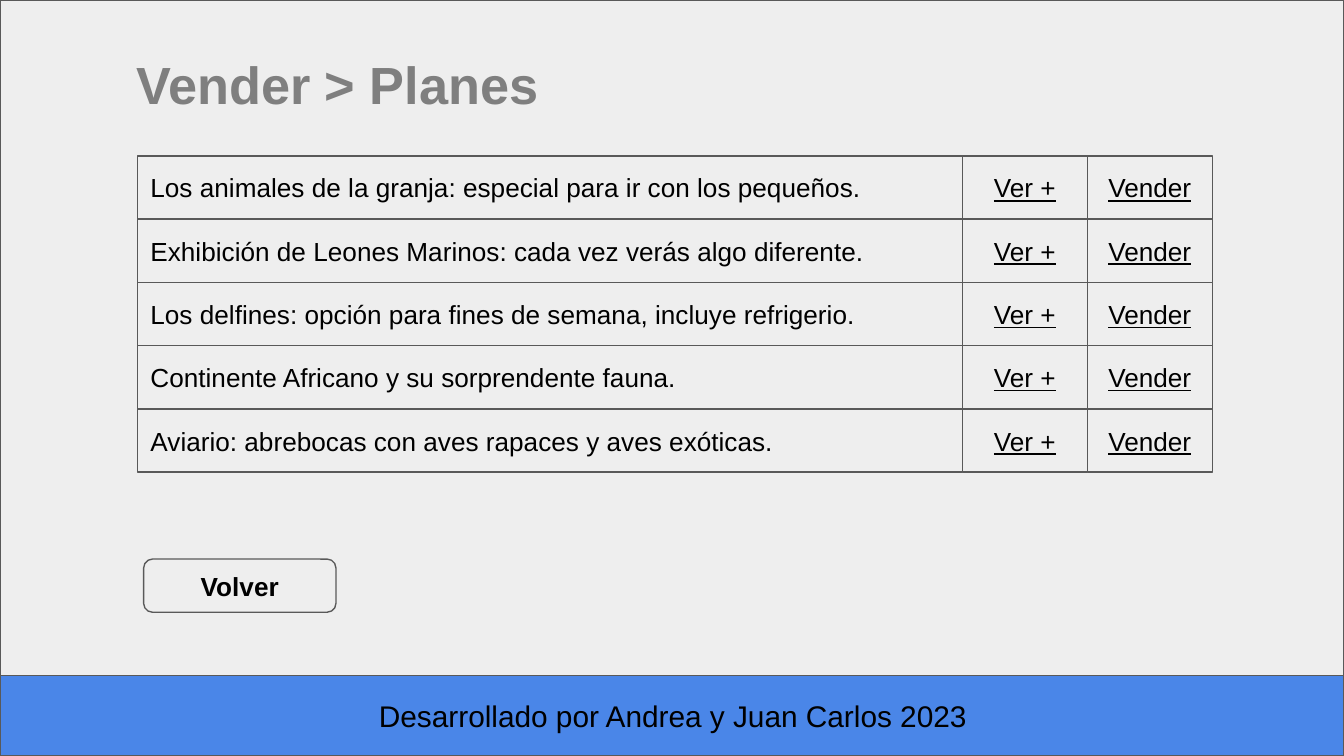
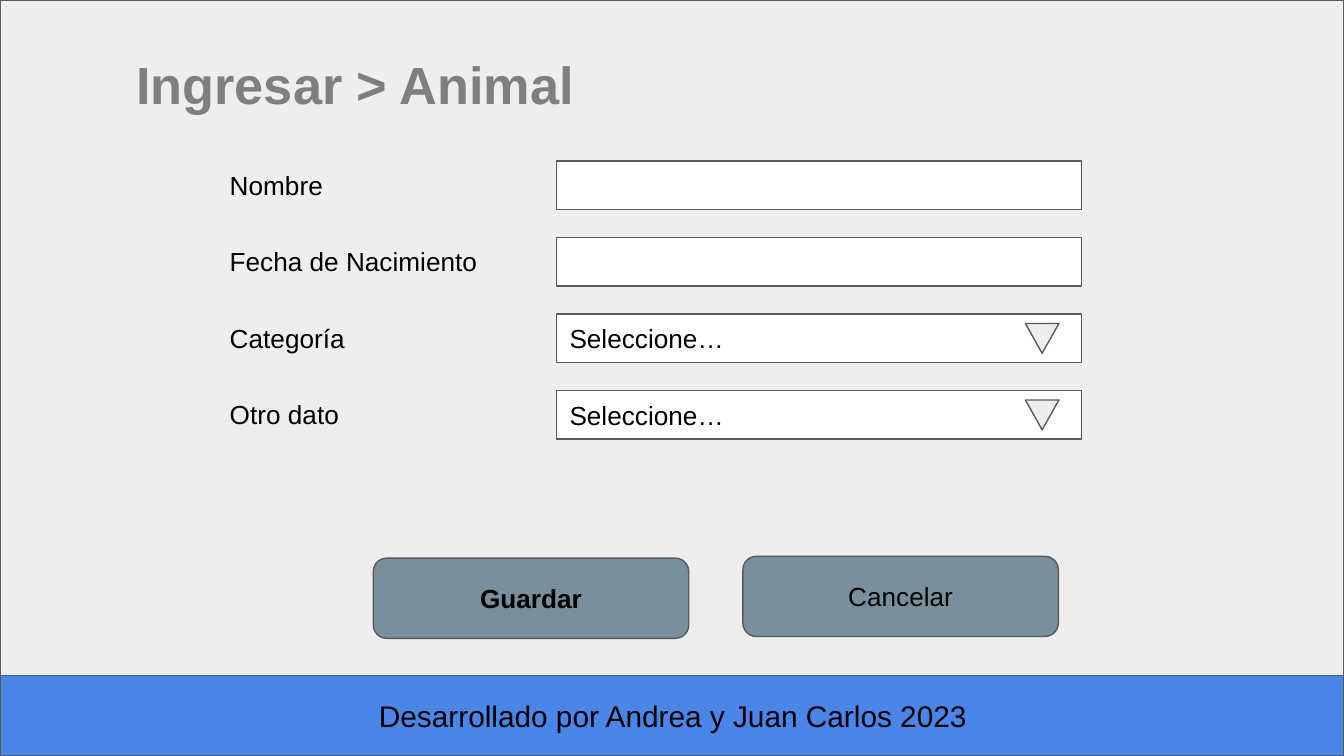
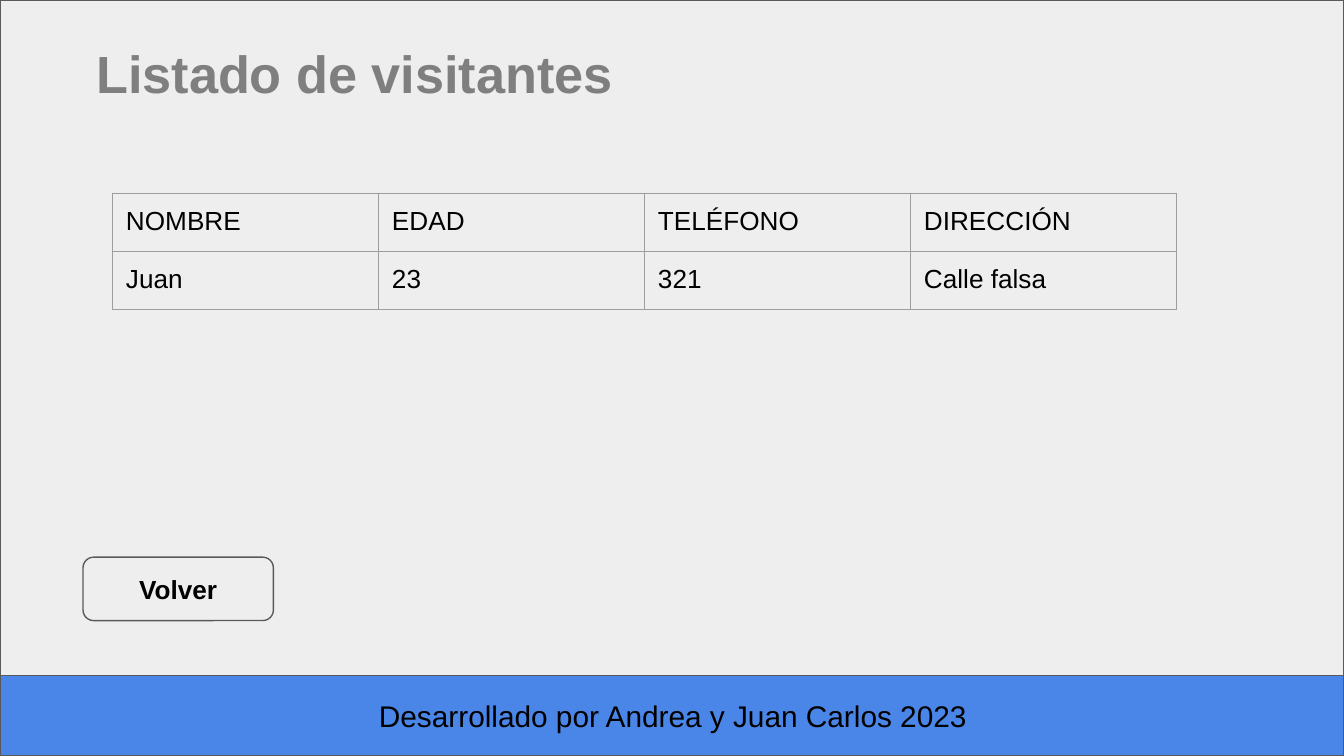
from dataclasses import dataclass
from itertools import accumulate

from lxml.etree import SubElement
from pptx import Presentation
from pptx.dml.color import RGBColor
from pptx.enum.shapes import MSO_SHAPE as Preset
from pptx.enum.text import MSO_ANCHOR as Anchor, MSO_AUTO_SIZE as AutoSize, PP_ALIGN as Align
from pptx.oxml.ns import qn
from pptx.util import Pt


@dataclass(frozen=True)
class Theme:
    """Colours, type sizes and measures shared by the slides."""
    font: str = "Arial"
    panel: str = "EEEEEE"
    band: str = "4A86E8"
    field: str = "FFFFFF"
    action: str = "78909C"
    outline: str = "595959"
    grid: str = "9E9E9E"
    ink: str = "000000"
    heading: str = "7F7F7F"
    body_size: float = 14
    footer_size: float = 16
    title_size: float = 28
    line_width: float = 0.75
    inset: float = 7.2
    corner: float = 0.167
    width: float = 720
    height: float = 405
    band_top: float = 362


class Mockup:
    """Draws the elements of the screens in one style."""

    def __init__(self, theme):
        """Open an empty deck at the theme's size."""
        self.theme = theme
        self.deck = Presentation()
        self.deck.slide_width = Pt(theme.width)
        self.deck.slide_height = Pt(theme.height)
        self.slide = None

    def screen(self):
        """Start a slide with its panel and footer band."""
        theme = self.theme
        self.slide = self.deck.slides.add_slide(self.deck.slide_layouts[6])
        self.box(0, 0, theme.width, theme.band_top)
        self.box(0, theme.band_top, theme.width, theme.height - theme.band_top, fill=theme.band)
        self.label("Desarrollado por Andrea y Juan Carlos 2023", 188, 366.5, 345, 34,
                   size=theme.footer_size, align=Align.CENTER)

    def add_text(self, frame, text, size=None, color=None, align=Align.LEFT, bold=False, underline=False):
        """Put one styled run into a text frame."""
        inset = Pt(self.theme.inset)
        frame.margin_left = frame.margin_right = inset
        frame.margin_top = frame.margin_bottom = inset
        frame.word_wrap = True
        line = frame.paragraphs[0]
        line.alignment = align
        run = line.add_run()
        run.text = text
        font = run.font
        font.name = self.theme.font
        font.size = Pt(size or self.theme.body_size)
        font.bold = bold
        font.underline = underline
        font.color.rgb = RGBColor.from_string(color or self.theme.ink)

    def label(self, text, left, top, width, height=32, **style):
        """Add free text without a frame."""
        area = self.slide.shapes.add_textbox(Pt(left), Pt(top), Pt(width), Pt(height))
        self.add_text(area.text_frame, text, **style)
        area.text_frame.auto_size = AutoSize.SHAPE_TO_FIT_TEXT

    def title(self, text, left=66, top=21, width=575):
        """Add the heading of a screen."""
        self.label(text, left, top, width, 48, size=self.theme.title_size,
                   color=self.theme.heading, bold=True)

    def box(self, left, top, width, height, text="", fill=None, preset=Preset.RECTANGLE, **style):
        """Add an outlined shape, with text if there is any."""
        shape = self.slide.shapes.add_shape(preset, Pt(left), Pt(top), Pt(width), Pt(height))
        shape.shadow.inherit = False
        shape.fill.solid()
        shape.fill.fore_color.rgb = RGBColor.from_string(fill or self.theme.panel)
        shape.line.color.rgb = RGBColor.from_string(self.theme.outline)
        shape.line.width = Pt(self.theme.line_width)
        if text:
            self.add_text(shape.text_frame, text, **style)
            shape.text_frame.vertical_anchor = Anchor.MIDDLE
        return shape

    def button(self, text, left, top, width, height, fill=None, bold=True):
        """Add a rounded button."""
        button = self.box(left, top, width, height, text, fill, Preset.ROUNDED_RECTANGLE,
                          align=Align.CENTER, bold=bold)
        button.adjustments[0] = self.theme.corner

    def dropdown_arrow(self, left, top):
        """Add the triangle of a drop-down list."""
        self.box(left, top, 18, 16, preset=Preset.FLOWCHART_MERGE)

    def border(self, cell):
        """Draw the four grid lines of a table cell."""
        properties = cell._tc.get_or_add_tcPr()
        for side in ("a:lnL", "a:lnR", "a:lnT", "a:lnB"):
            edge = SubElement(properties, qn(side), w=str(Pt(self.theme.line_width)))
            SubElement(SubElement(edge, qn("a:solidFill")), qn("a:srgbClr"), val=self.theme.grid)

    def table(self, rows, left, top, column_width, row_height):
        """Add a plain table with a thin grid."""
        columns = len(rows[0])
        table = self.slide.shapes.add_table(
            len(rows), columns, Pt(left), Pt(top),
            Pt(column_width * columns), Pt(row_height * len(rows))).table
        table.first_row = table.horz_banding = False
        for column in table.columns:
            column.width = Pt(column_width)
        for row, values in zip(table.rows, rows):
            row.height = Pt(row_height)
            for cell, value in zip(row.cells, values):
                self.border(cell)
                cell.fill.background()
                self.add_text(cell.text_frame, value)
                cell.margin_left = cell.margin_right = Pt(self.theme.inset)
                cell.margin_top = cell.margin_bottom = Pt(self.theme.inset)


def plans_screen(mockup):
    """List the plans on sale."""
    plans = (
        "Los animales de la granja: especial para ir con los pequeños.",
        "Exhibición de Leones Marinos: cada vez verás algo diferente.",
        "Los delfines: opción para fines de semana, incluye refrigerio.",
        "Continente Africano y su sorprendente fauna.",
        "Aviario: abrebocas con aves rapaces y aves exóticas.",
    )
    widths = (442, 67, 67)
    lefts = tuple(accumulate(widths[:-1], initial=73.5))
    row_height = 33.9
    mockup.screen()
    mockup.title("Vender > Planes")
    for row, plan in enumerate(plans):
        top = 83.5 + row * row_height
        for left, width, text in zip(lefts, widths, (plan, "Ver +", "Vender")):
            is_link = text != plan
            mockup.box(left, top, width, row_height, text, underline=is_link,
                       align=Align.CENTER if is_link else Align.LEFT)
    mockup.button("Volver", 77, 299.5, 103, 28.5)


def animal_screen(mockup):
    """Show the form that registers an animal."""
    fields = (
        ("Nombre", 140, ""),
        ("Fecha de Nacimiento", 153, ""),
        ("Categoría", 140, "Seleccione…"),
        ("Otro dato", 140, "Seleccione…"),
    )
    action = mockup.theme.action
    mockup.screen()
    mockup.title("Ingresar > Animal")
    for row, (name, name_width, choice) in enumerate(fields):
        top = 86.3 + row * 41
        mockup.label(name, 116, top - 3, name_width)
        mockup.box(298, top, 281.5, 26, choice, fill=mockup.theme.field)
        if choice:
            mockup.dropdown_arrow(549.3, top + 5)
    mockup.button("Guardar", 200, 299, 169, 43, action)
    mockup.button("Cancelar", 398, 298, 169, 43, action, bold=False)


def visitors_screen(mockup):
    """List the visitors."""
    visitors = (
        ("NOMBRE", "EDAD", "TELÉFONO", "DIRECCIÓN"),
        ("Juan", "23", "321", "Calle falsa"),
    )
    mockup.screen()
    mockup.button("Volver", 44.5, 298.5, 102, 34)
    mockup.title("Listado de visitantes", 44.5, 15, 635)
    mockup.table(visitors, 60.3, 103.5, 142.5, 30.5)


def main():
    """Build the three screens and save them."""
    mockup = Mockup(Theme())
    plans_screen(mockup)
    animal_screen(mockup)
    visitors_screen(mockup)
    mockup.deck.save("out.pptx")


if __name__ == "__main__":
    main()
